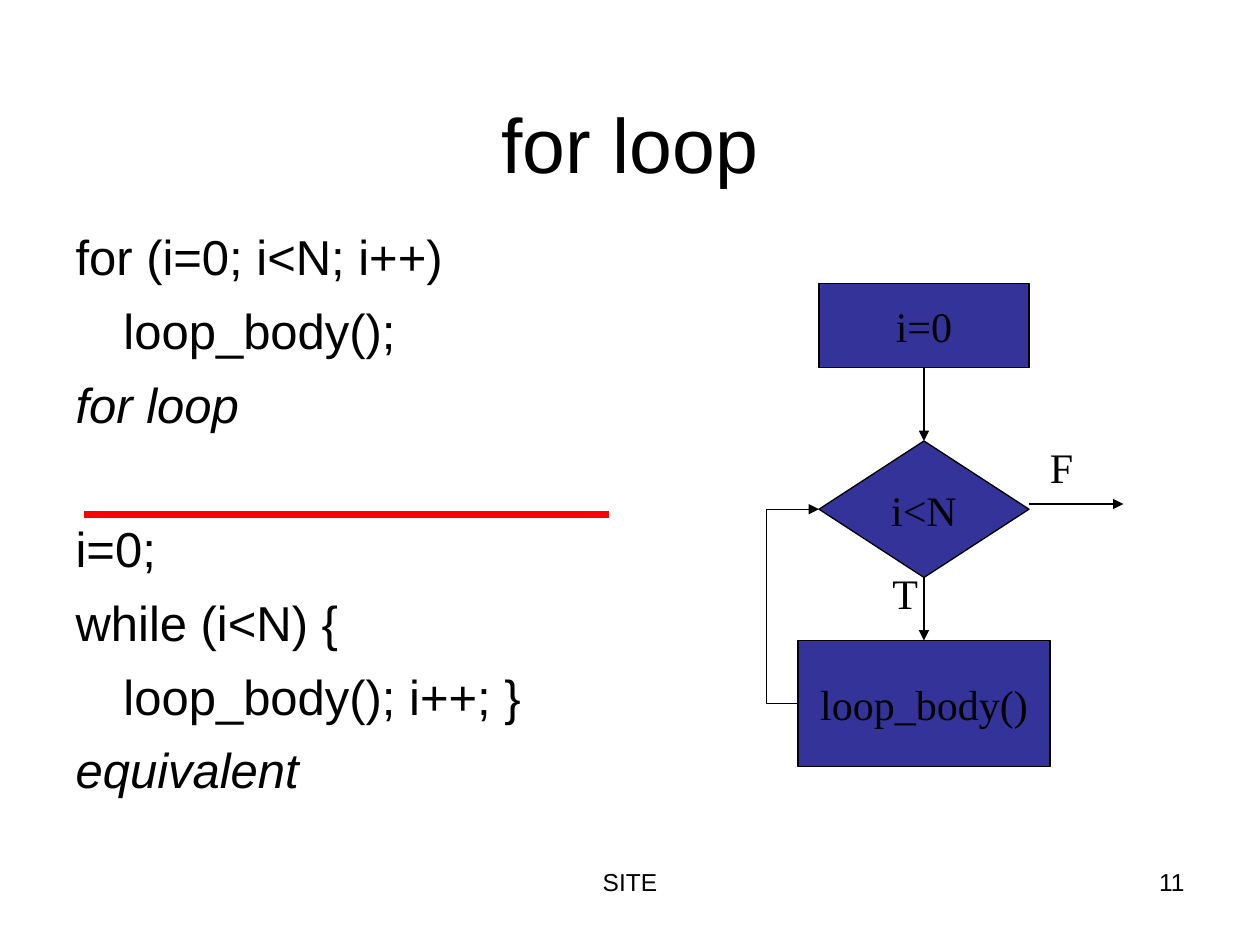
from lxml import etree
from pptx import Presentation
from pptx import util as u
from pptx.dml.color import RGBColor
from pptx.enum import shapes, text
from pptx.oxml.ns import qn

COLORS = {"ink": "000000", "node": "333399", "rule": "FF0000"}
SANS, SERIF = "Arial", "Times New Roman"
COLS, ROWS = 120, 90
CENTER, LEFT, RIGHT = text.PP_ALIGN.CENTER, text.PP_ALIGN.LEFT, text.PP_ALIGN.RIGHT
LINE_GAP, SECTION_GAP = 8.5, 49

prs = Presentation()
prs.slide_width, prs.slide_height = u.Inches(10), u.Inches(7.5)


def rgb(name):
    return RGBColor.from_string(COLORS[name])


def grid(*values):
    units = (prs.slide_width / COLS, prs.slide_height / ROWS)
    return [u.Emu(round(v * units[i % 2])) for i, v in enumerate(values)]


def place(sp, box):
    sp.left, sp.top, sp.width, sp.height = grid(*box)


def add_run(p, words, size, font, italic=False):
    r = p.add_run()
    r.text = words
    r.font.size, r.font.name, r.font.italic = u.Pt(size), font, italic
    r.font.color.rgb = rgb("ink")


def add_label(slide, box, words, size, font, align=LEFT):
    sp = slide.shapes.add_textbox(*grid(*box))
    tf = sp.text_frame
    tf.word_wrap = True
    p = tf.paragraphs[0]
    p.alignment = align
    add_run(p, words, size, font)


def add_node(slide, kind, box, words):
    sp = slide.shapes.add_shape(kind, *grid(*box))
    sp.shadow.inherit = False
    sp.fill.solid()
    sp.fill.fore_color.rgb = rgb("node")
    sp.line.color.rgb = rgb("ink")
    sp.line.width = u.Pt(0.75)
    tf = sp.text_frame
    tf.word_wrap = False
    tf.vertical_anchor = text.MSO_ANCHOR.MIDDLE
    p = tf.paragraphs[0]
    p.alignment = CENTER
    add_run(p, words, 24, SERIF)


def add_line(slide, start, end, color="ink", width=0.75, arrow=True, bend=None):
    kind = shapes.MSO_CONNECTOR.STRAIGHT if bend is None else shapes.MSO_CONNECTOR.ELBOW
    cx = slide.shapes.add_connector(kind, *grid(*start, *end))
    cx.line.color.rgb = rgb(color)
    cx.line.width = u.Pt(width)
    props = cx._element.spPr
    if arrow:
        etree.SubElement(props.find(qn("a:ln")), qn("a:tailEnd"), type="triangle")
    if bend is not None:
        guides = props.find(qn("a:prstGeom")).get_or_add_avLst()
        etree.SubElement(guides, qn("a:gd"), name="adj1", fmla=f"val {round(bend * 100000)}")
    etree.SubElement(props, qn("a:effectLst"))


def fill_title(slide, box, words):
    sp = slide.shapes.title
    place(sp, box)
    tf = sp.text_frame
    tf.vertical_anchor = text.MSO_ANCHOR.BOTTOM
    tf.auto_size = text.MSO_AUTO_SIZE.NONE
    p = tf.paragraphs[0]
    p.alignment = CENTER
    add_run(p, words, 44, SANS)


def fill_code(slide, box, sections):
    sp = slide.placeholders[1]
    place(sp, box)
    tf = sp.text_frame
    tf.auto_size = text.MSO_AUTO_SIZE.NONE
    p = tf.paragraphs[0]
    for s, section in enumerate(sections):
        for n, (words, indented, italic) in enumerate(section):
            first = s == n == 0
            if not first:
                p = tf.add_paragraph()
            gap = 0 if first else LINE_GAP if n else SECTION_GAP
            p.space_before = u.Pt(gap)
            props = p._p.get_or_add_pPr()
            props.set("marL", str(u.Inches(0.38 if indented else 0)))
            props.set("indent", "0")
            etree.SubElement(props, qn("a:buNone"))
            add_run(p, words, 28, SANS, italic)


def draw_flowchart(slide, box):
    x, y, w, h = box
    mid, bottom = x + 21, y + h
    test_x, test_y, test_w, test_h = x + 5, y + 15, 20, 13
    body_x, body_y, body_w, body_h = x + 3, bottom - 12, 24, 12
    kinds = shapes.MSO_SHAPE
    mid = test_x + test_w / 2
    add_node(slide, kinds.RECTANGLE, (test_x, y, test_w, 8), "i=0")
    add_node(slide, kinds.DIAMOND, (test_x, test_y, test_w, test_h), "i<N")
    add_node(slide, kinds.RECTANGLE, (body_x, body_y, body_w, body_h), "loop_body()")
    add_line(slide, (mid, y + 8), (mid, test_y))
    add_line(slide, (mid, test_y + test_h), (mid, body_y))
    add_line(slide, (test_x + test_w, y + 21), (x + w, y + 21))
    add_line(slide, (body_x, body_y + body_h / 2), (test_x, test_y + test_h / 2), bend=-1.5)
    add_label(slide, (mid - 4.2, test_y + test_h - 1.5, 6, 6), "T", 24, SERIF)
    add_label(slide, (test_x + test_w + 0.8, test_y - 0.5, 6, 6), "F", 24, SERIF)


def add_footer(slide, top, height):
    add_label(slide, (41, top, 38, height), "SITE", 14, SANS, CENTER)
    add_label(slide, (86, top, 28, height), "11", 14, SANS, RIGHT)


def main():
    slide = prs.slides.add_slide(prs.slide_layouts[1])
    fill_title(slide, (6, 3.6, 108, 15), "for loop")
    fill_code(slide, (6, 21, 53, 59.4), [
        [("for (i=0; i<N; i++)", False, False),
         ("loop_body();", True, False),
         ("for loop", False, True)],
        [("i=0;", False, False),
         ("while (i<N) {", False, False),
         ("loop_body(); i++; }", True, False),
         ("equivalent", False, True)],
    ])
    add_line(slide, (8, 49), (58, 49), "rule", 4.5, arrow=False)
    draw_flowchart(slide, (73, 27, 34, 46))
    add_footer(slide, 82, 6.25)
    prs.save("out.pptx")


if __name__ == "__main__":
    main()
